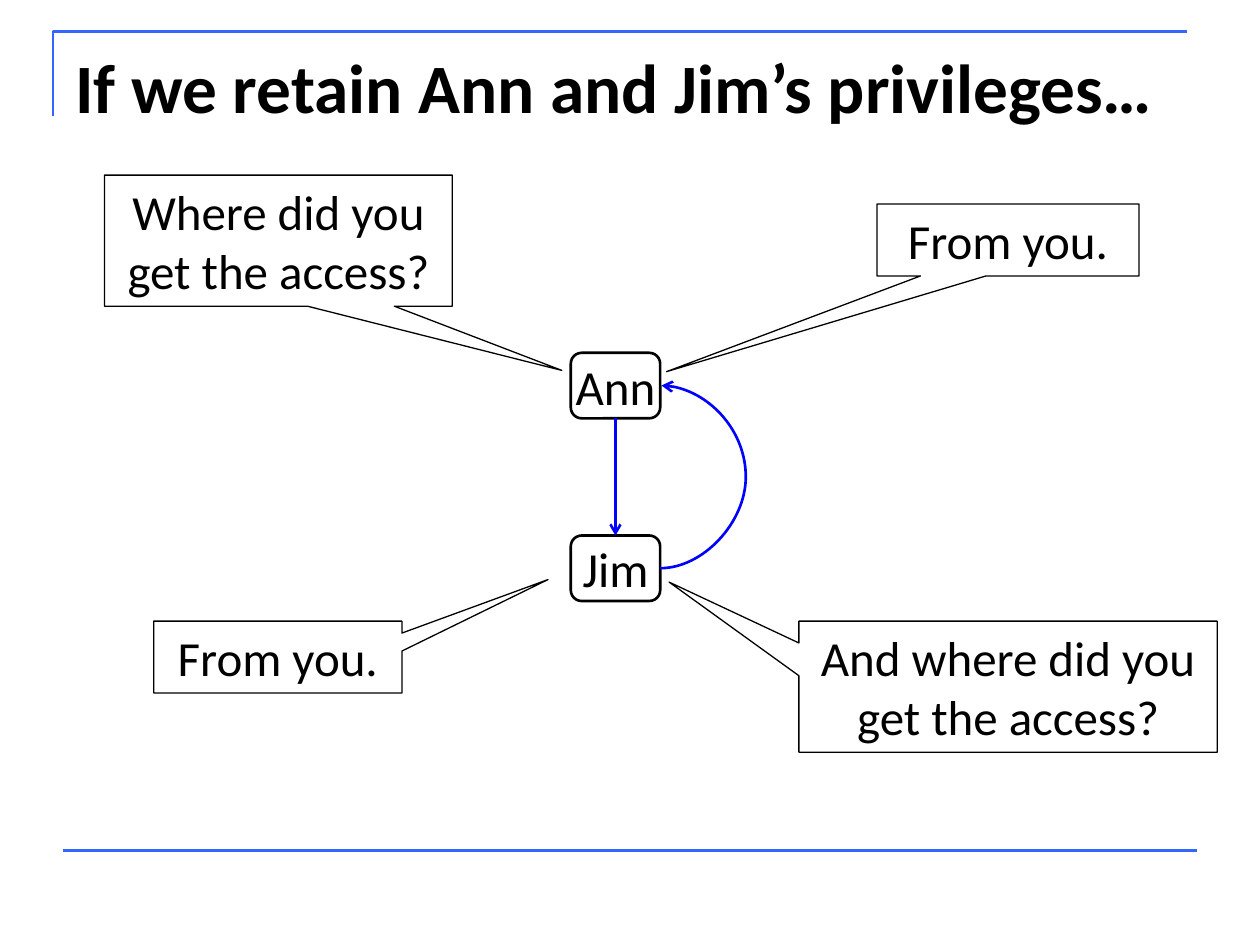
"""Build a slide on tracing access privileges between Ann and Jim."""
from dataclasses import dataclass

from lxml import etree
from pptx import Presentation
from pptx.dml.color import RGBColor
from pptx.enum.shapes import MSO_CONNECTOR, MSO_SHAPE
from pptx.enum.text import MSO_ANCHOR, PP_ALIGN
from pptx.oxml.ns import qn
from pptx.util import Inches, Pt

LINE, CURVE = MSO_CONNECTOR.STRAIGHT, MSO_CONNECTOR.CURVE
ROUND, CALLOUT = MSO_SHAPE.ROUNDED_RECTANGLE, MSO_SHAPE.RECTANGULAR_CALLOUT
TOP, MIDDLE = MSO_ANCHOR.TOP, MSO_ANCHOR.MIDDLE
LEFT, CENTER = PP_ALIGN.LEFT, PP_ALIGN.CENTER


@dataclass(frozen=True)
class Theme:
    """Hold colours, font and sizes."""
    ink: RGBColor = RGBColor(0, 0, 0)
    paper: RGBColor = RGBColor(255, 255, 255)
    rule: RGBColor = RGBColor(0x33, 0x66, 0xFF)
    arrow: RGBColor = RGBColor(0, 0, 255)
    font: str = "Calibri"
    title: float = 39.6
    body: float = 28
    thick: float = 1.5
    thin: float = 0.75


class Board:
    """Draw styled elements on one slide."""

    def __init__(self, slide, theme):
        """Keep the slide and its theme."""
        self.shapes, self.theme = slide.shapes, theme

    def label(self, shape, text, size, align, anchor, bold=False):
        """Set the text of a shape."""
        frame = shape.text_frame
        frame.word_wrap = True
        frame.vertical_anchor = anchor
        para = frame.paragraphs[0]
        para.text, para.alignment = text, align
        font = para.font
        font.name, font.size, font.bold = self.theme.font, Pt(size), bold
        font.color.rgb = self.theme.ink

    def title(self, text, *box):
        """Add the heading."""
        shape = self.shapes.add_textbox(*map(Inches, box))
        self.label(shape, text, self.theme.title, LEFT, TOP, True)

    def block(self, kind, text, box, width):
        """Add an outlined shape with centred text."""
        shape = self.shapes.add_shape(kind, *map(Inches, box))
        shape.shadow.inherit = False
        shape.fill.solid()
        shape.fill.fore_color.rgb = self.theme.paper
        shape.line.color.rgb = self.theme.ink
        shape.line.width = Pt(width)
        self.label(shape, text, self.theme.body, CENTER, MIDDLE)
        return shape

    def node(self, text, *box):
        """Add a person."""
        frame = self.block(ROUND, text, box, self.theme.thick).text_frame
        frame.word_wrap = False
        frame.margin_left = frame.margin_right = 0
        frame.margin_top = frame.margin_bottom = 0

    def speech(self, text, box, tip):
        """Add a callout whose tail ends at the tip."""
        shape = self.block(CALLOUT, text, box, self.theme.thin)
        left, top, width, height = box
        shape.adjustments[0] = (tip[0] - left) / width - 0.5
        shape.adjustments[1] = (tip[1] - top) / height - 0.5

    def link(self, start, end, color, kind=LINE, head=True):
        """Add a line or arrow."""
        ends = map(Inches, (*start, *end))
        link = self.shapes.add_connector(kind, *ends)
        link.line.color.rgb = color
        link.line.width = Pt(self.theme.thick)
        props = link._element.spPr
        if head:
            etree.SubElement(props.find(qn("a:ln")), qn("a:tailEnd"), type="arrow")
        etree.SubElement(props, qn("a:effectLst"))
        return link

    def bend(self, start, end, reach):
        """Add a curved arrow that swings out to a given x."""
        link = self.link(start, end, self.theme.arrow, CURVE)
        ratio = (reach - start[0]) / (end[0] - start[0])
        shape = link._element.spPr.find(qn("a:prstGeom"))
        guides = shape.find(qn("a:avLst"))
        if guides is None:
            guides = etree.SubElement(shape, qn("a:avLst"))
        value = f"val {round(ratio * 100000)}"
        etree.SubElement(guides, qn("a:gd"), name="adj1", fmla=value)

    def corner(self, *points):
        """Add an open rule through the points."""
        first, *rest = [tuple(map(Inches, spot)) for spot in points]
        maker = self.shapes.build_freeform(*first)
        maker.add_line_segments(rest, close=False)
        shape = maker.convert_to_shape()
        shape.shadow.inherit = False
        shape.fill.background()
        shape.line.color.rgb = self.theme.rule
        shape.line.width = Pt(self.theme.thick)


def main():
    """Build and save the slide."""
    deck = Presentation()
    deck.slide_width, deck.slide_height = Inches(10), Inches(7.5)
    theme = Theme()
    board = Board(deck.slides.add_slide(deck.slide_layouts[6]), theme)

    board.corner((0.42, 0.92), (0.42, 0.25), (9.42, 0.25))
    board.link((0.5, 6.75), (9.5, 6.75), theme.rule, head=False)
    board.title("If we retain Ann and Jim’s privileges…", 0.5, 0.3, 9, 1.25)

    left, wide, high = 4.53, 0.71, 0.52
    ann, jim = 2.8, 4.25
    for name, top in (("Ann", ann), ("Jim", jim)):
        board.node(name, left, top, wide, high)
    mid, right = left + wide / 2, left + wide
    board.link((mid, ann + high), (mid, jim), theme.arrow)
    board.bend((right, jim + high / 2), (right + 0.01, ann + high / 2), 5.93)

    talks = (
        ("Where did you get the access?", (0.83, 1.39, 2.76, 1.04), (4.46, 2.94)),
        ("From you.", (1.22, 4.93, 1.97, 0.57), (4.35, 4.6)),
        ("And where did you get the access?", (6.34, 4.93, 3.32, 1.04), (5.31, 4.62)),
        ("From you.", (6.96, 1.62, 2.08, 0.57), (5.29, 2.95)),
    )
    for talk in talks:
        board.speech(*talk)
    deck.save("out.pptx")


if __name__ == "__main__":
    main()
